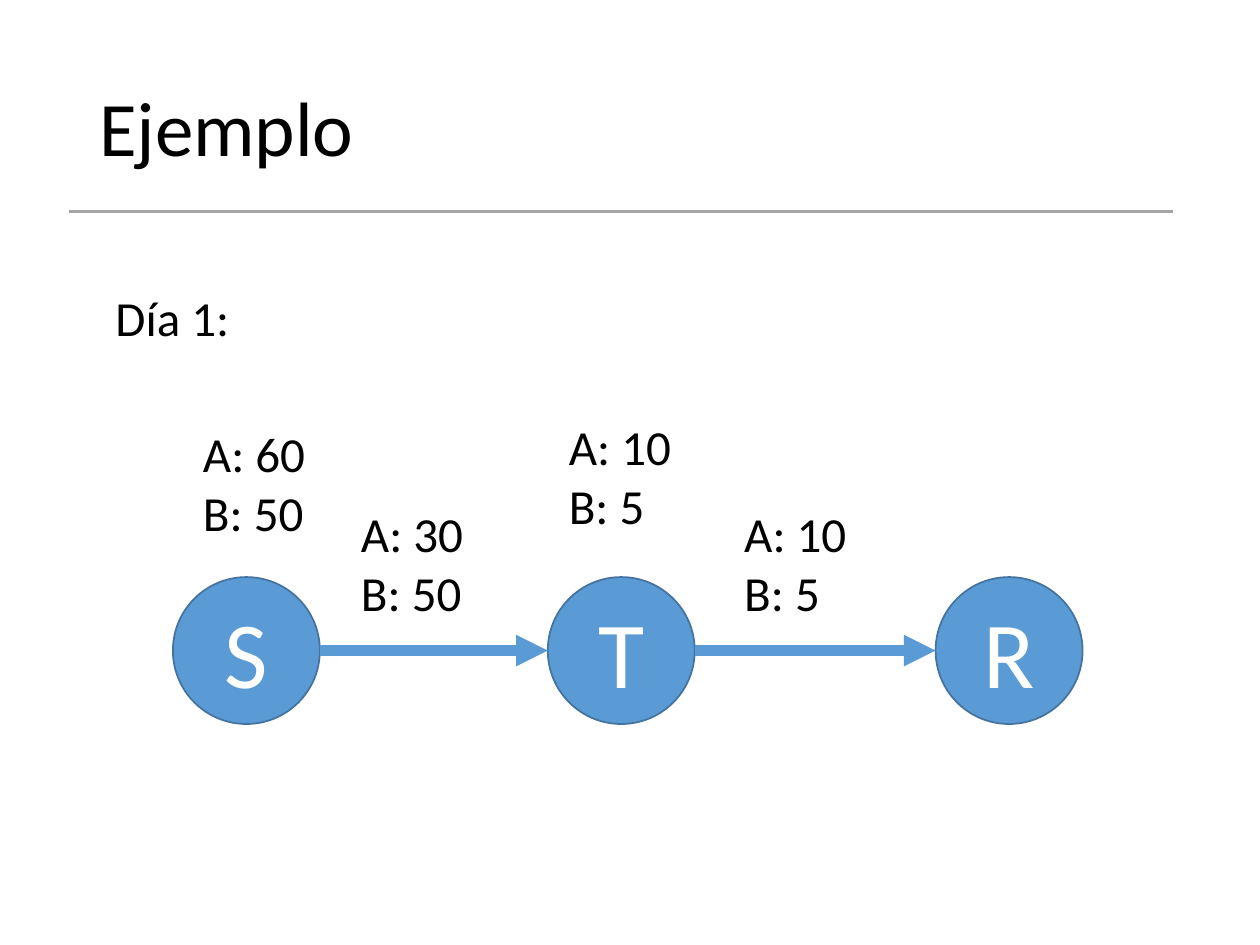
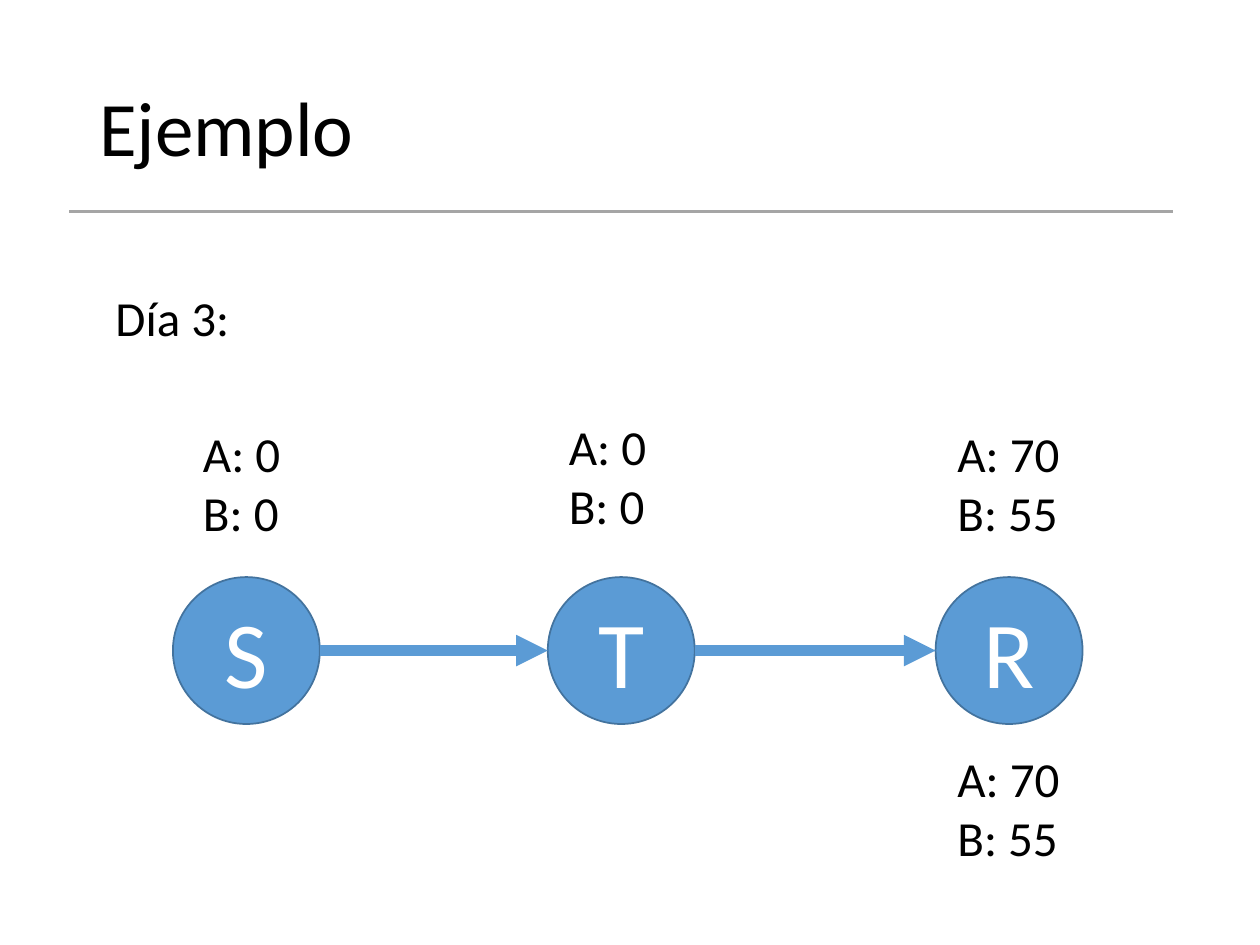
"""Build two slides that follow goods through the nodes S, T and R."""
from typing import NamedTuple

from lxml import etree
from pptx import Presentation
from pptx import util as u
from pptx.dml.color import RGBColor
from pptx.enum import shapes, text
from pptx.oxml import ns

FONT = "Calibri"
BLACK, WHITE, GRAY = "000000", "FFFFFF", "A5A5A5"
BLUE, DARK_BLUE = "5B9BD5", "43739E"
NODE_TOP, NODE_SIZE = 329.75, 84
ARROW_Y = NODE_TOP + NODE_SIZE / 2
LINK_TOP, OUTER_TOP, MIDDLE_TOP, BELOW_TOP = 284.4, 238.3, 234.7, 424


class Node(NamedTuple):
    name: str
    left: float


class Label(NamedTuple):
    lines: list[str]
    left: float
    top: float
    width: float = 73.5


class Day(NamedTuple):
    heading: str
    labels: list[Label]


NODES = [Node("S", 98.8), Node("T", 313), Node("R", 534.6)]
S_LEFT, T_LEFT, R_LEFT = 108.9, 318, 540
DAYS = [
    Day("Día 1:", [
        Label(["A: 30", "B: 50"], 199.2, LINK_TOP),
        Label(["A: 10", "B: 5"], 418.2, LINK_TOP),
        Label(["A: 60", "B: 50"], S_LEFT, OUTER_TOP),
        Label(["A: 10", "B: 5"], T_LEFT, MIDDLE_TOP),
    ]),
    Day("Día 3:", [
        Label(["A: 0", "B: 0"], S_LEFT, OUTER_TOP, 59),
        Label(["A: 0", "B: 0"], T_LEFT, MIDDLE_TOP, 59),
        Label(["A: 70", "B: 55"], R_LEFT, OUTER_TOP),
        Label(["A: 70", "B: 55"], R_LEFT, BELOW_TOP),
    ]),
]


def color(value: str) -> RGBColor:
    return RGBColor.from_string(value)


def write(shape, lines: list[str], *, size: float, ink: str = BLACK,
          align=text.PP_ALIGN.LEFT, anchor=text.MSO_ANCHOR.MIDDLE,
          fit=text.MSO_AUTO_SIZE.NONE, wrap: bool = True, spacing: float = 1.0) -> None:
    frame = shape.text_frame
    frame.text = "\n".join(lines)
    frame.auto_size = fit
    frame.word_wrap = wrap
    frame.vertical_anchor = anchor
    for paragraph in frame.paragraphs:
        paragraph.alignment = align
        paragraph.line_spacing = spacing
        font = paragraph.runs[0].font
        font.name, font.size = FONT, u.Pt(size)
        font.color.rgb = color(ink)


def add_line(slide, left: float, right: float, y: float, ink: str,
             width: float, arrow: bool = False) -> None:
    connector = slide.shapes.add_connector(
        shapes.MSO_CONNECTOR.STRAIGHT, u.Pt(left), u.Pt(y), u.Pt(right), u.Pt(y))
    connector.line.color.rgb = color(ink)
    connector.line.width = u.Pt(width)
    if arrow:
        outline = connector.line._get_or_add_ln()
        etree.SubElement(outline, ns.qn("a:tailEnd"), type="triangle")
    etree.SubElement(connector._element.spPr, ns.qn("a:effectLst"))


def add_title(slide) -> None:
    title = slide.shapes.title
    title.left, title.top = u.Pt(49.5), u.Pt(23)
    title.width, title.height = u.Pt(621), u.Pt(104.4)
    write(title, ["Ejemplo"], size=44, spacing=0.9)
    add_line(slide, 39.6, 670.3, 121, GRAY, 1.5)


def add_node(slide, node: Node) -> None:
    circle = slide.shapes.add_shape(
        shapes.MSO_SHAPE.OVAL, u.Pt(node.left), u.Pt(NODE_TOP),
        u.Pt(NODE_SIZE), u.Pt(NODE_SIZE))
    circle.shadow.inherit = False
    circle.fill.solid()
    circle.fill.fore_color.rgb = color(BLUE)
    circle.line.color.rgb = color(DARK_BLUE)
    circle.line.width = u.Pt(1)
    write(circle, [node.name], size=54, ink=WHITE, align=text.PP_ALIGN.CENTER)


def add_label(slide, label: Label) -> None:
    height = 7.2 + 33.8 * len(label.lines)
    box = slide.shapes.add_textbox(
        u.Pt(label.left), u.Pt(label.top), u.Pt(label.width), u.Pt(height))
    write(box, label.lines, size=28, anchor=text.MSO_ANCHOR.TOP,
          fit=text.MSO_AUTO_SIZE.SHAPE_TO_FIT_TEXT, wrap=False)


def add_day(presentation, day: Day) -> None:
    slide = presentation.slides.add_slide(presentation.slide_layouts[5])
    add_title(slide)
    for node in NODES:
        add_node(slide, node)
    for source, target in zip(NODES, NODES[1:]):
        add_line(slide, source.left + NODE_SIZE, target.left, ARROW_Y, BLUE, 6, arrow=True)
    for label in [Label([day.heading], 58.9, 160.6, 80.6), *day.labels]:
        add_label(slide, label)


def main() -> None:
    presentation = Presentation()
    presentation.slide_width, presentation.slide_height = u.Pt(720), u.Pt(540)
    for day in DAYS:
        add_day(presentation, day)
    presentation.save("out.pptx")


if __name__ == "__main__":
    main()
